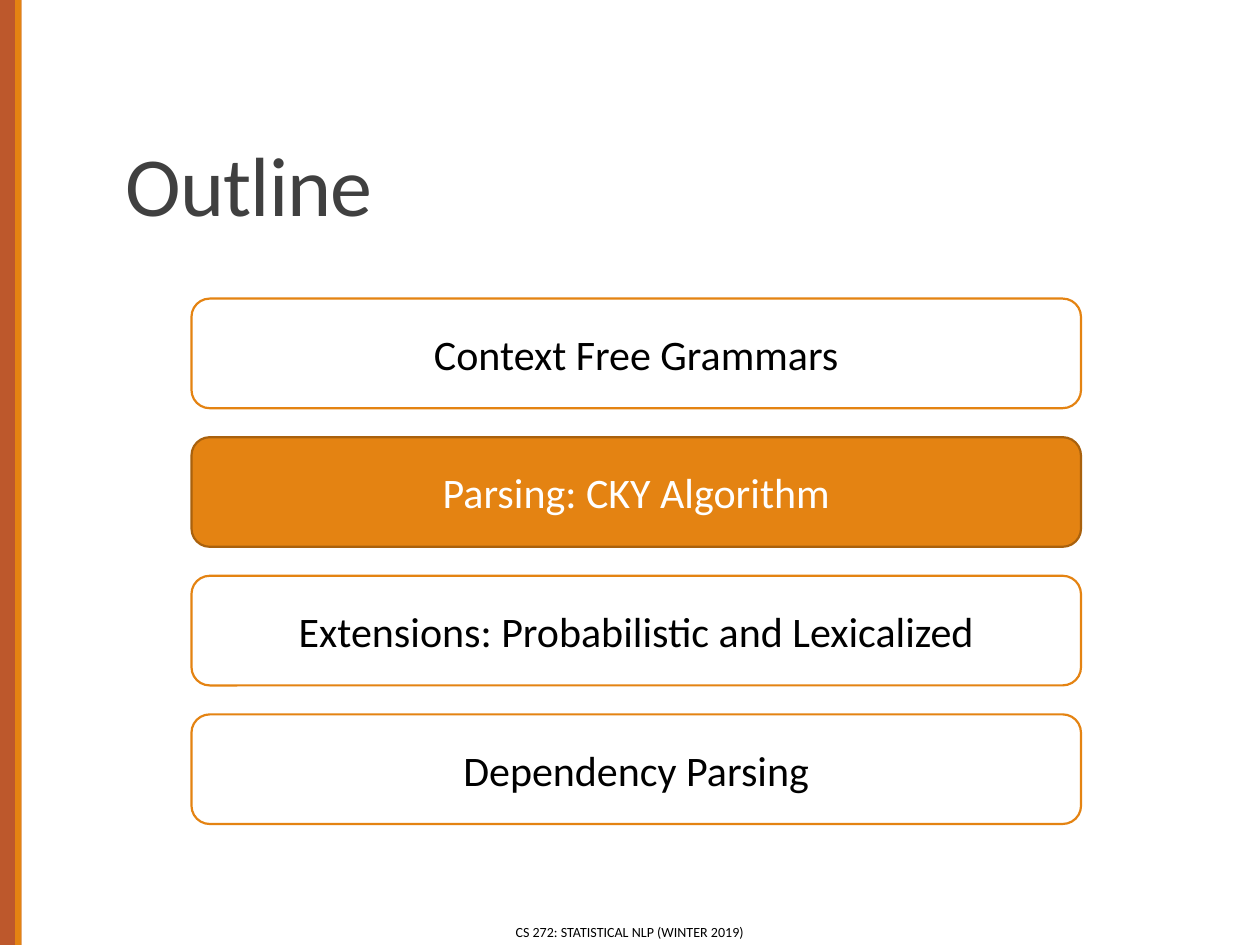
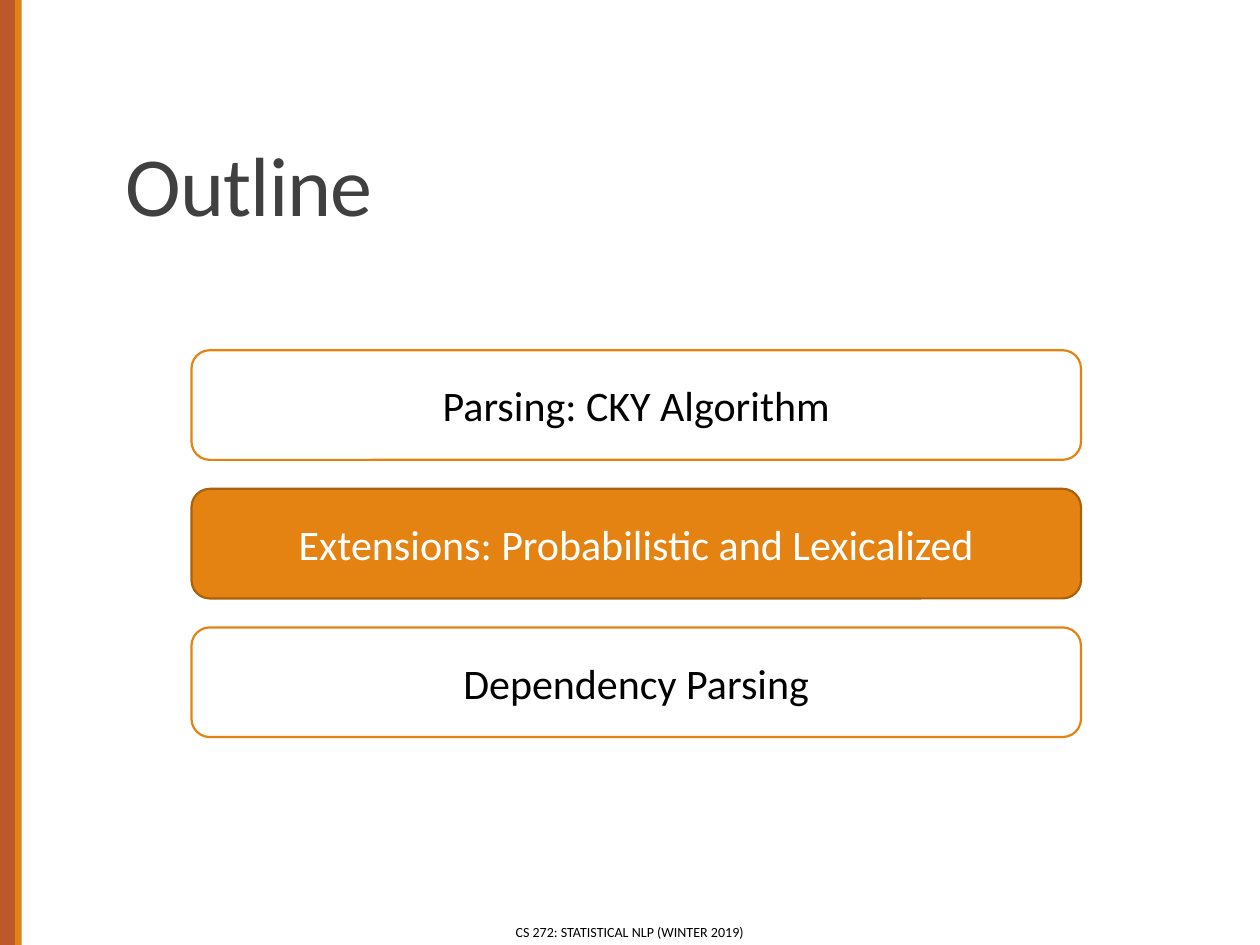
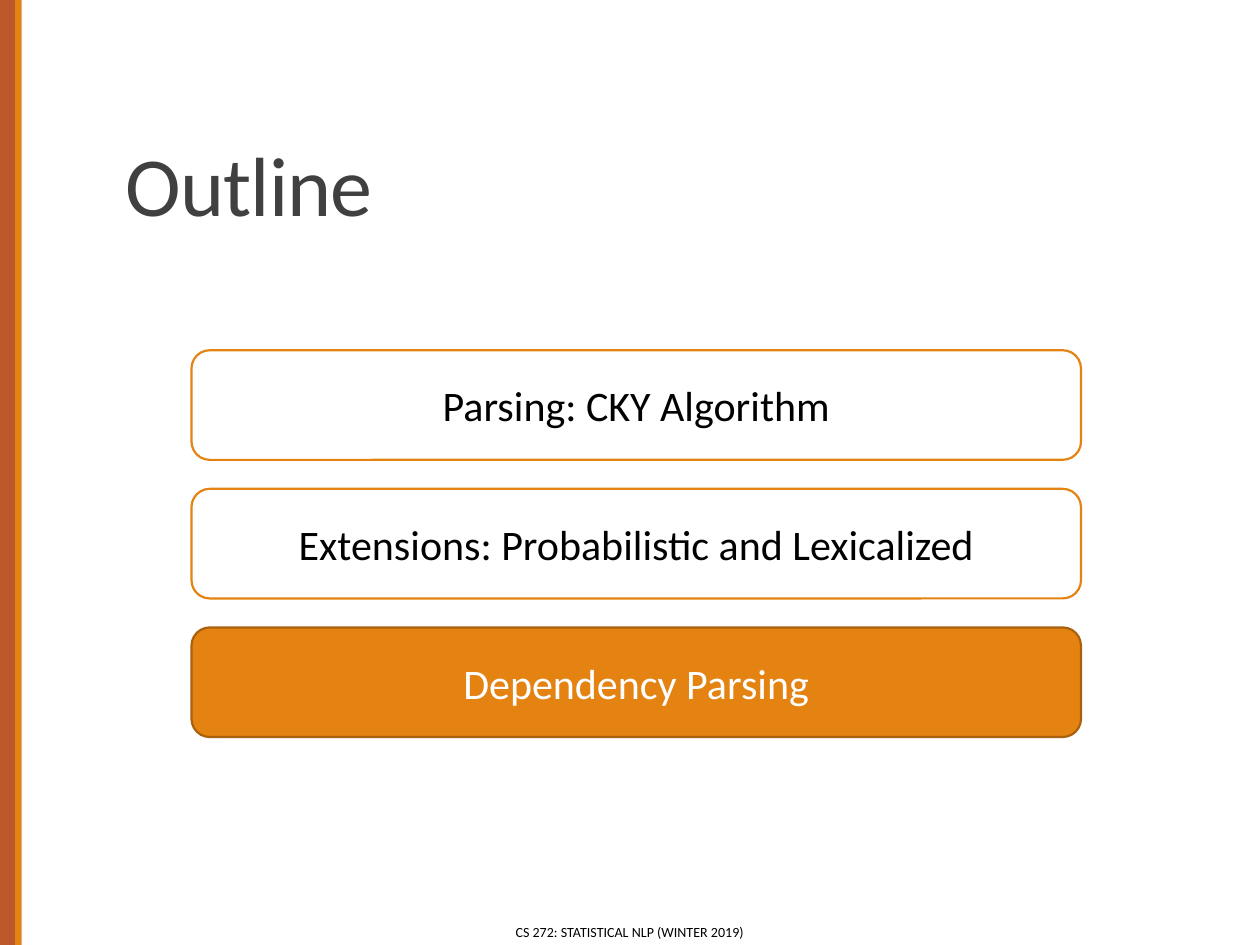
"""Build three outline slides that highlight the current lecture topic."""
import pptx
import pptx.dml.color
import pptx.enum.shapes
import pptx.enum.text
import pptx.util

Inches = pptx.util.Inches
Pt = pptx.util.Pt
SHAPES = pptx.enum.shapes.MSO_SHAPE
ALIGN = pptx.enum.text.PP_ALIGN
ANCHOR = pptx.enum.text.MSO_ANCHOR

TITLE = "Outline"
FOOTER = "CS 272: STATISTICAL NLP (WINTER 2019)"
TOPICS = [
    "Context Free Grammars",
    "Parsing: CKY Algorithm",
    "Extensions: Probabilistic and Lexicalized",
    "Dependency Parsing",
]
OUTLINES = [
    {"topics": TOPICS, "current": TOPICS[1], "top": 2.37},
    {"topics": TOPICS[1:], "current": TOPICS[2], "top": 2.78},
    {"topics": TOPICS[1:], "current": TOPICS[3], "top": 2.78},
]

COLORS = {
    "rust": "BD582C",
    "orange": "E48312",
    "brown": "A9610D",
    "title": "404040",
    "black": "000000",
    "white": "FFFFFF",
}
FONT = "Calibri"
SLIDE_WIDTH, SLIDE_HEIGHT = 10, 7.5
BANDS = [("rust", 0, 0.17), ("orange", 0.12, 0.05)]
TOPIC_LEFT, TOPIC_WIDTH, TOPIC_HEIGHT, TOPIC_STEP = 1.52, 7.06, 0.87, 1.1


def color(name):
    return pptx.dml.color.RGBColor.from_string(COLORS[name])


def write(box, text, size, color_name, align, anchor):
    frame = box.text_frame
    frame.word_wrap = True
    frame.vertical_anchor = anchor
    para = frame.paragraphs[0]
    para.alignment = align
    span = para.add_run()
    span.text = text
    span.font.name = FONT
    span.font.size = Pt(size)
    span.font.color.rgb = color(color_name)
    return para, span


def add_block(page, shape, area, fill, line=None):
    block = page.shapes.add_shape(shape, *map(Inches, area))
    block.shadow.inherit = False
    block.fill.solid()
    block.fill.fore_color.rgb = color(fill)
    if line:
        block.line.color.rgb = color(line)
        block.line.width = Pt(1.25)
    else:
        block.line.fill.background()
    return block


def add_frame(page):
    for fill, left, width in BANDS:
        add_block(page, SHAPES.RECTANGLE, (left, 0, width, SLIDE_HEIGHT), fill)
    title = page.shapes.add_textbox(*map(Inches, (0.9, 0.31, 8.25, 1.59)))
    para, span = write(title, TITLE, 48, "title", ALIGN.LEFT, ANCHOR.BOTTOM)
    para.line_spacing = 0.85
    span.font._element.set("spc", "-50")
    footer = page.shapes.add_textbox(*map(Inches, (3.02, 7.33, 3.96, 0.13)))
    write(footer, FOOTER, 8, "black", ALIGN.CENTER, ANCHOR.MIDDLE)


def add_topics(page, topics, current, top):
    for index, topic in enumerate(topics):
        if topic == current:
            fill, line, ink = "orange", "brown", "white"
        else:
            fill, line, ink = "white", "orange", "black"
        area = (TOPIC_LEFT, top + index * TOPIC_STEP, TOPIC_WIDTH, TOPIC_HEIGHT)
        box = add_block(page, SHAPES.ROUNDED_RECTANGLE, area, fill, line)
        write(box, topic, 24, ink, ALIGN.CENTER, ANCHOR.MIDDLE)


def main():
    deck = pptx.Presentation()
    deck.slide_width = Inches(SLIDE_WIDTH)
    deck.slide_height = Inches(SLIDE_HEIGHT)
    for outline in OUTLINES:
        page = deck.slides.add_slide(deck.slide_layouts[6])
        add_frame(page)
        add_topics(page, **outline)
    deck.save("out.pptx")


if __name__ == "__main__":
    main()
